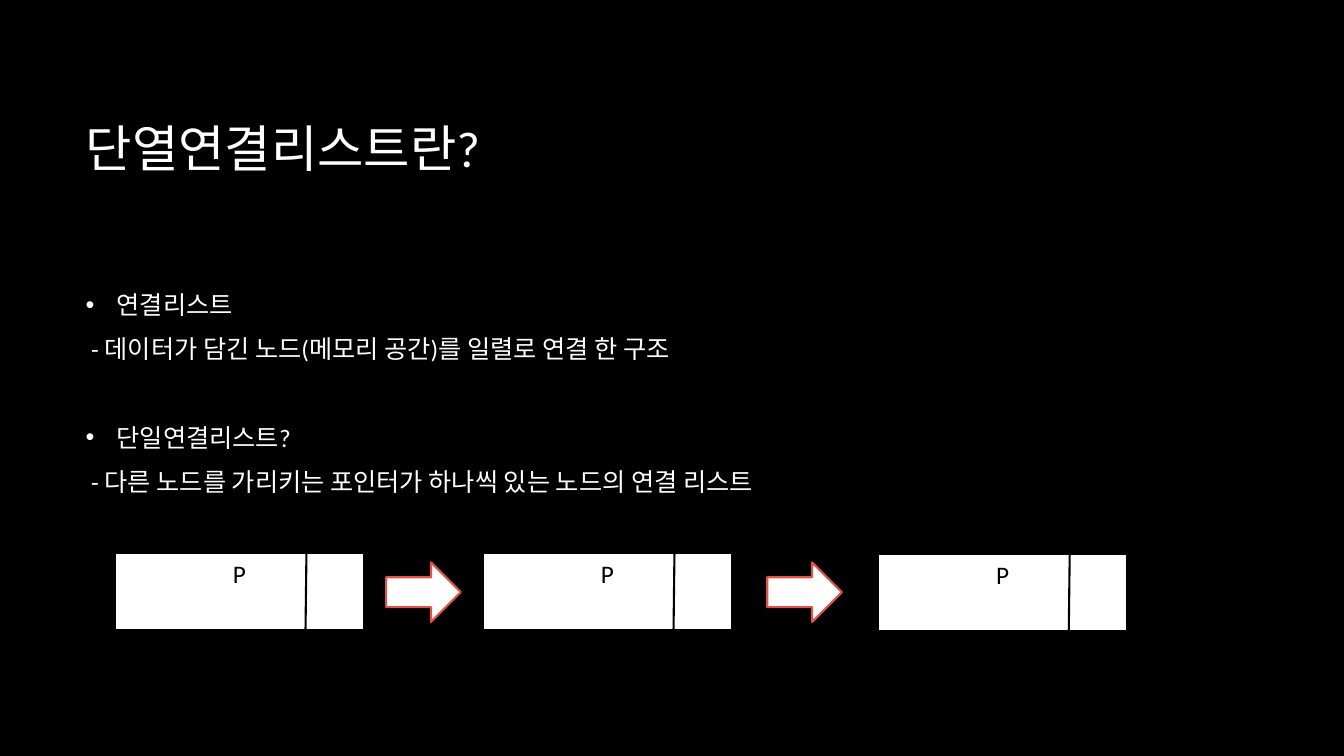
from lxml import etree
from pptx import Presentation
from pptx.dml.color import RGBColor
from pptx.enum import shapes, text
from pptx.oxml import ns
from pptx.util import Inches, Pt

COLORS = {"background": "000000", "light": "FFFFFF", "dark": "000000", "arrow": "E25247"}
FONT = "Calibri"
TOPICS = [
    ("연결리스트", " - 데이터가 담긴 노드(메모리 공간)를 일렬로 연결 한 구조"),
    ("단일연결리스트?", " - 다른 노드를 가리키는 포인터가 하나씩 있는 노드의 연결 리스트"),
]
NODES = [(1.14, 5.49), (4.79, 5.49), (8.71, 5.5)]
ARROWS = [(3.83, 5.58), (7.61, 5.58)]


def color(name):
    return RGBColor.from_string(COLORS[name])


def format_paragraph(paragraph, size, color_name, alignment=text.PP_ALIGN.LEFT):
    paragraph.alignment = alignment
    paragraph.font.name = FONT
    paragraph.font.size = Pt(size)
    paragraph.font.color.rgb = color(color_name)


def add_title(slide, left, top, width, height):
    title = slide.shapes.title
    title.left, title.top = Inches(left), Inches(top)
    title.width, title.height = Inches(width), Inches(height)
    title.text_frame.text = "단열연결리스트란?"
    title.text_frame.vertical_anchor = text.MSO_ANCHOR.MIDDLE
    format_paragraph(title.text_frame.paragraphs[0], 36, "light")


def add_bullet(paragraph):
    properties = paragraph._p.get_or_add_pPr()
    properties.set("marL", str(Inches(0.31)))
    properties.set("indent", str(-Inches(0.31)))
    font = etree.SubElement(properties, ns.qn("a:buFont"))
    font.set("typeface", "Arial")
    bullet = etree.SubElement(properties, ns.qn("a:buChar"))
    bullet.set("char", "•")


def add_topics(slide, left, top, width, height):
    box = slide.shapes.add_textbox(Inches(left), Inches(top), Inches(width), Inches(height))
    frame = box.text_frame
    frame.word_wrap = True
    for index, (heading, detail) in enumerate(TOPICS):
        first = frame.paragraphs[0] if index == 0 else frame.add_paragraph()
        second = frame.add_paragraph()
        for paragraph, words in ((first, heading), (second, detail)):
            paragraph.text = words
            format_paragraph(paragraph, 18, "light")
            paragraph.space_after = Pt(10)
        # A wider gap separates the topics
        if index > 0:
            first.space_before = Pt(31.6)
        add_bullet(first)


def add_box(slide, preset, left, top, width, height, line_color):
    shape = slide.shapes.add_shape(
        preset, Inches(left), Inches(top), Inches(width), Inches(height))
    shape.shadow.inherit = False
    shape.fill.solid()
    shape.fill.fore_color.rgb = color("light")
    shape.line.color.rgb = color(line_color)
    shape.line.width = Pt(1.5)
    return shape


def add_node(slide, left, top, width=2.47, height=0.76):
    node = add_box(slide, shapes.MSO_SHAPE.RECTANGLE, left, top, width, height, "dark")
    frame = node.text_frame
    frame.text = "P"
    frame.vertical_anchor = text.MSO_ANCHOR.TOP
    format_paragraph(frame.paragraphs[0], 18, "dark", text.PP_ALIGN.CENTER)

    # Slightly slanted divider before the pointer cell
    divider = slide.shapes.add_connector(
        shapes.MSO_CONNECTOR.STRAIGHT,
        Inches(left + 1.9), Inches(top - 0.03),
        Inches(left + 1.89), Inches(top + height + 0.02))
    divider.line.color.rgb = color("dark")
    divider.line.width = Pt(1.5)
    etree.SubElement(divider._element.spPr, ns.qn("a:effectLst"))


def add_linked_list(slide):
    for left, top in NODES:
        add_node(slide, left, top)
    for left, top in ARROWS:
        add_box(slide, shapes.MSO_SHAPE.RIGHT_ARROW, left, top, 0.74, 0.59, "arrow")


def main():
    presentation = Presentation()
    presentation.slide_width, presentation.slide_height = Inches(13.33), Inches(7.5)
    slide = presentation.slides.add_slide(presentation.slide_layouts[5])
    slide.background.fill.solid()
    slide.background.fill.fore_color.rgb = color("background")
    add_title(slide, 0.75, 0.67, 11.08, 1.59)
    add_topics(slide, 0.75, 2.82, 11.08, 2.3)
    add_linked_list(slide)
    presentation.save("out.pptx")


if __name__ == "__main__":
    main()
